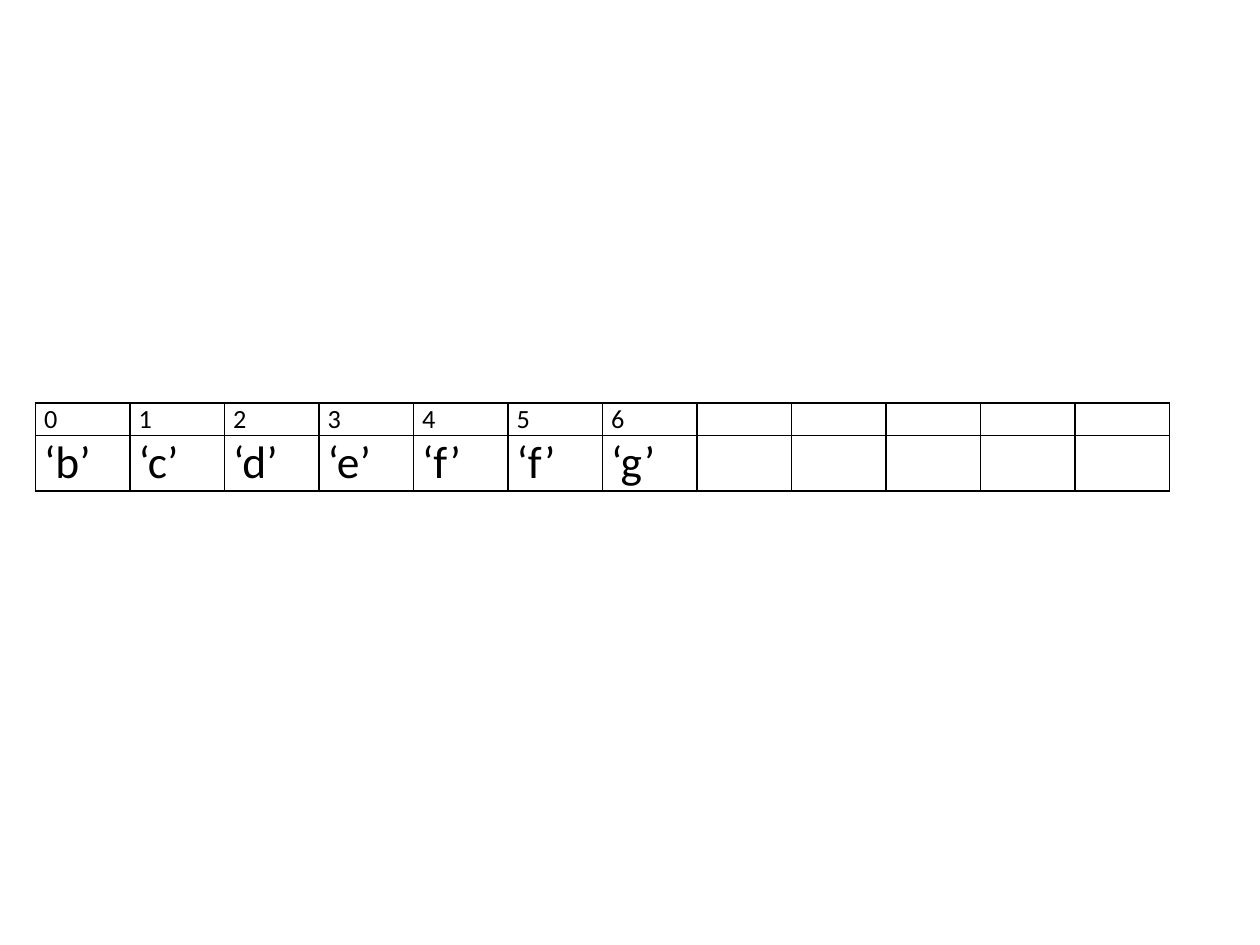
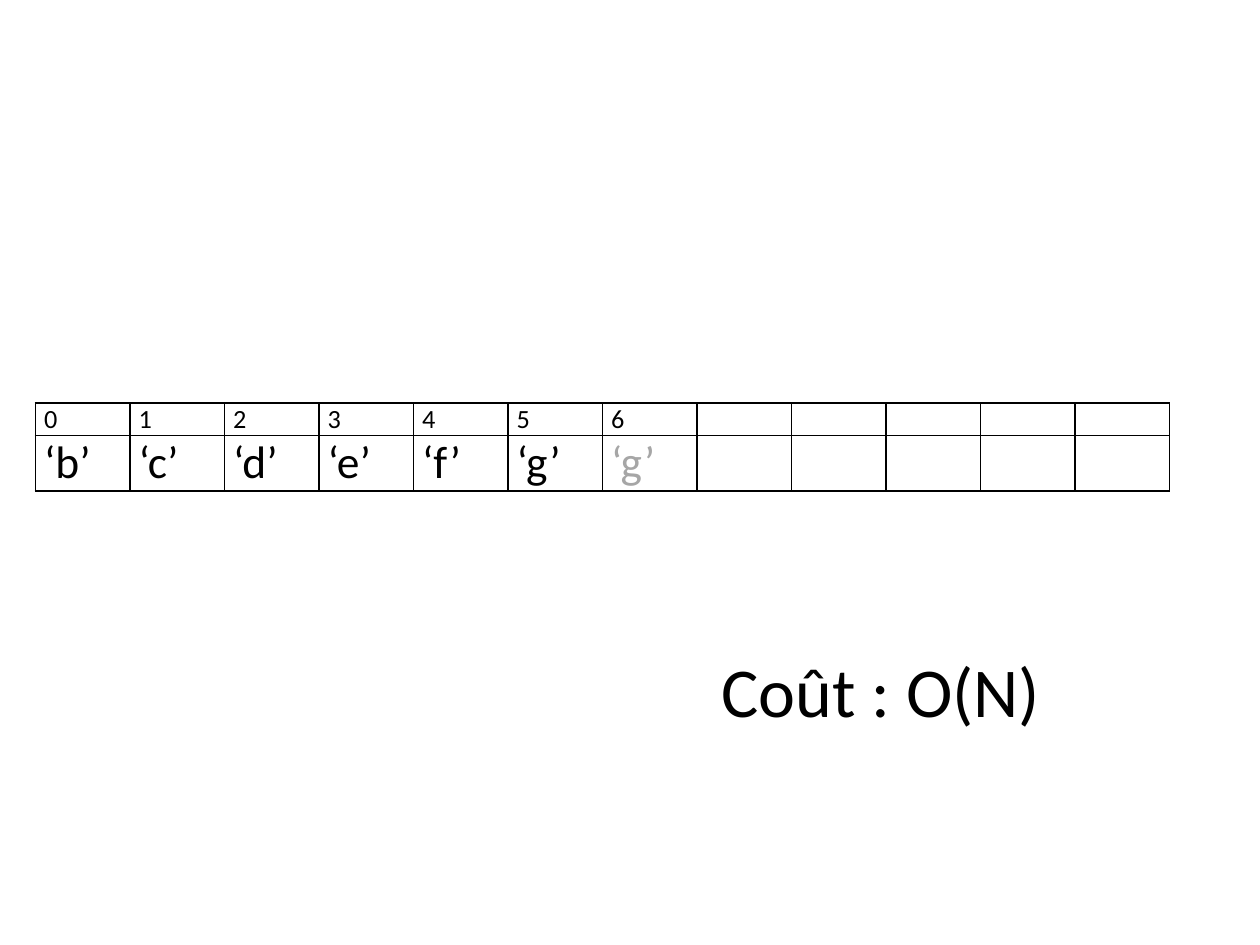
from dataclasses import dataclass

from lxml.etree import SubElement
from pptx import Presentation
from pptx.dml.color import RGBColor
from pptx.enum.text import MSO_AUTO_SIZE
from pptx.oxml.ns import qn
from pptx.util import Emu, Pt

# Shared look
PX = 9144  # EMU per px, 100 px to the inch
FONT = "Calibri"
BLACK, GREY = "000000", "A6A6A6"
BORDER_PT = 1
INDEX_SIZE, LETTER_SIZE, COST_SIZE = 15, 26, 40

# Array geometry
CAPACITY = 12
ARRAY_LEFT, ARRAY_TOP, CELL_WIDTH = 28, 320, 75
INDEX_HEIGHT, LETTER_HEIGHT = 25, 43
CELL_INSET = 7


@dataclass(frozen=True)
class ArrayState:
    letters: str
    stale_from: int  # first index whose letter is no longer in use
    cost: str = ""


STATES = [
    ArrayState("bcdeffg", stale_from=7),
    ArrayState("bcdefgg", stale_from=6, cost="Coût : O(N)"),
]


def px(length: int) -> Emu:
    return Emu(length * PX)


def rgb(colour: str) -> RGBColor:
    return RGBColor.from_string(colour)


def write(frame, text: str, *, size: int, colour: str = BLACK) -> None:
    paragraph = frame.paragraphs[0]
    if not text:
        # An empty cell still needs its size, or its row would grow
        SubElement(paragraph._p, qn("a:endParaRPr"), sz=str(size * 100))
        return
    run = paragraph.add_run()
    run.text = text
    run.font.name = FONT
    run.font.size = Pt(size)
    run.font.bold = False
    run.font.color.rgb = rgb(colour)


def add_borders(cell) -> None:
    properties = cell._tc.get_or_add_tcPr()
    for side in ("L", "R", "T", "B"):
        line = SubElement(properties, qn(f"a:ln{side}"), w=str(Pt(BORDER_PT)))
        fill = SubElement(line, qn("a:solidFill"))
        SubElement(fill, qn("a:srgbClr"), val=BLACK)


def fill_cell(cell, text: str, *, size: int, colour: str = BLACK) -> None:
    cell.margin_left = cell.margin_right = px(CELL_INSET)
    cell.margin_top = cell.margin_bottom = 0
    add_borders(cell)
    cell.fill.background()
    write(cell.text_frame, text, size=size, colour=colour)


def draw_array(slide, state: ArrayState) -> None:
    table = slide.shapes.add_table(
        2, CAPACITY, px(ARRAY_LEFT), px(ARRAY_TOP),
        px(CAPACITY * CELL_WIDTH), px(INDEX_HEIGHT + LETTER_HEIGHT),
    ).table
    table.first_row = table.horz_banding = False
    table.rows[0].height = px(INDEX_HEIGHT)
    table.rows[1].height = px(LETTER_HEIGHT)
    for index in range(CAPACITY):
        table.columns[index].width = px(CELL_WIDTH)
        used = index < len(state.letters)
        fill_cell(table.cell(0, index), str(index) if used else "", size=INDEX_SIZE)
        fill_cell(
            table.cell(1, index),
            f"‘{state.letters[index]}’" if used else "",
            size=LETTER_SIZE,
            colour=GREY if index >= state.stale_from else BLACK,
        )


def draw_cost(slide, cost: str) -> None:
    frame = slide.shapes.add_textbox(px(563), px(509), px(276), px(77)).text_frame
    frame.word_wrap = False
    frame.auto_size = MSO_AUTO_SIZE.SHAPE_TO_FIT_TEXT
    write(frame, cost, size=COST_SIZE)


def main() -> None:
    deck = Presentation()
    deck.slide_width, deck.slide_height = px(1000), px(750)
    blank = deck.slide_layouts[6]
    # One slide for each state of the array
    for state in STATES:
        slide = deck.slides.add_slide(blank)
        draw_array(slide, state)
        if state.cost:
            draw_cost(slide, state.cost)
    deck.save("out.pptx")


if __name__ == "__main__":
    main()
